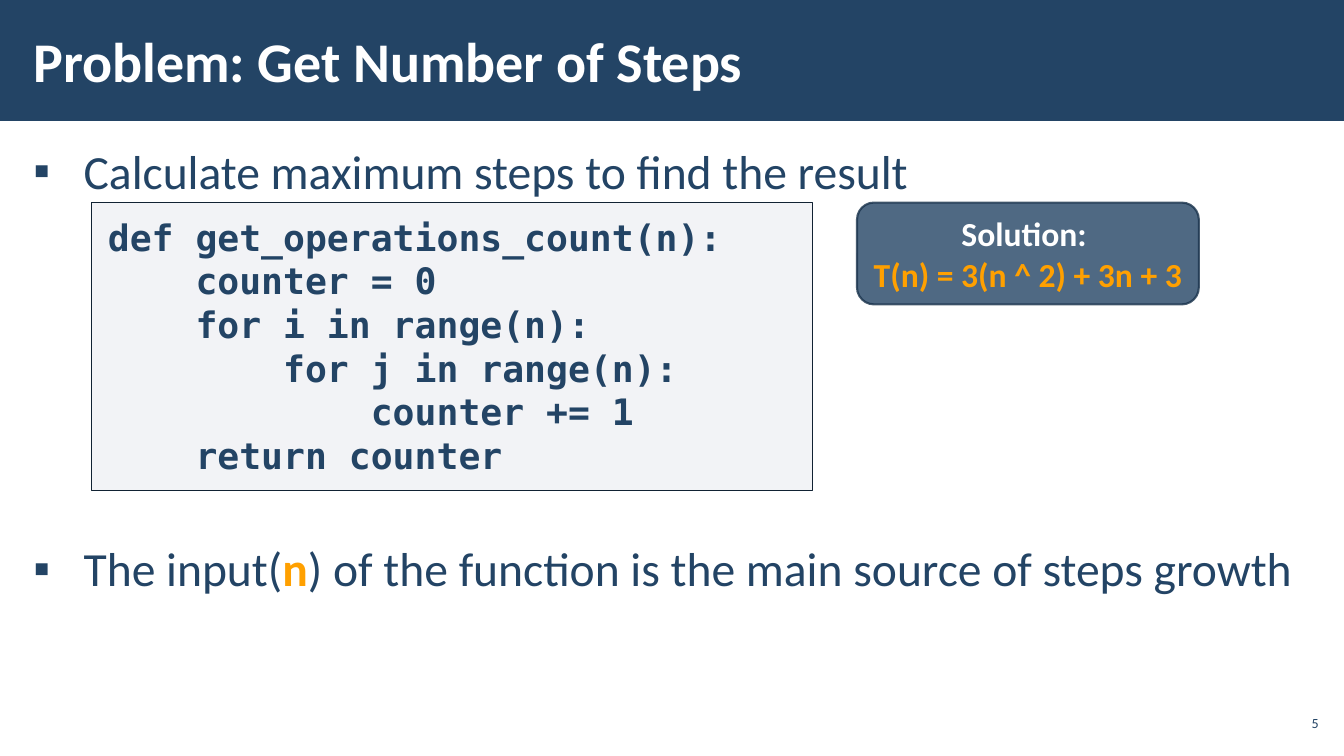
from dataclasses import dataclass

from lxml import etree
from pptx import Presentation
from pptx.dml.color import RGBColor
from pptx.enum.shapes import MSO_SHAPE
from pptx.enum.text import MSO_ANCHOR, MSO_AUTO_SIZE, PP_ALIGN
from pptx.oxml.ns import qn
from pptx.util import Inches, Pt

# Content
TITLE = "Problem: Get Number of Steps"
BULLETS = [
    [("Calculate maximum steps to find the result", False)],
    [("The input(", False), ("n", True),
     (") of the function is the main source of steps growth", False)],
]
CODE = [
    "def get_operations_count(n):",
    "    counter = 0",
    "    for i in range(n):",
    "        for j in range(n):",
    "            counter += 1",
    "    return counter",
]
SOLUTION = ["Solution: ", "T(n) = 3(n ^ 2) + 3n + 3"]
PAGE_NUMBER = "5"


@dataclass(frozen=True)
class Theme:
    navy: RGBColor = RGBColor(0x23, 0x44, 0x65)
    white: RGBColor = RGBColor(0xFF, 0xFF, 0xFF)
    accent: RGBColor = RGBColor(0xFF, 0xA0, 0x00)
    code_fill: RGBColor = RGBColor(0xAD, 0xB4, 0xC3)
    code_line: RGBColor = RGBColor(0x11, 0x22, 0x33)
    solution_line: RGBColor = RGBColor(0x1A, 0x33, 0x4C)
    text_font: str = "Calibri"
    code_font: str = "DejaVu Sans Mono"
    title_size: int = 40
    body_size: int = 34
    code_size: int = 26
    solution_size: int = 24
    number_size: int = 10


THEME = Theme()

# Layout: left, top, width, height in inches
SLIDE_SIZE = (13.33, 7.5)
BANNER = (0, 0, 13.33, 1.2)
TITLE_BOX = (0.21, 0.11, 10.4, 0.97)
BODY_BOX = (0.21, 1.31, 12.92, 5.69)
CODE_BOX = (0.91, 2.01, 7.15, 2.86)
SOLUTION_BOX = (8.5, 2.01, 3.39, 1.01)
NUMBER_BOX = (12.65, 7, 0.47, 0.34)
BULLET_INDENT = 0.5
CODE_GAP = 233  # points left between the bullets for the code


def place(shape, box):
    shape.left, shape.top, shape.width, shape.height = map(Inches, box)


def set_frame(frame, margin_x, margin_y, anchor):
    frame.word_wrap = True
    frame.auto_size = MSO_AUTO_SIZE.NONE
    frame.margin_left = frame.margin_right = Inches(margin_x)
    frame.margin_top = frame.margin_bottom = Inches(margin_y)
    frame.vertical_anchor = anchor


def style(paragraph, size, color, name=THEME.text_font, bold=False, align=PP_ALIGN.LEFT):
    paragraph.alignment = align
    font = paragraph.font
    font.size, font.name, font.bold = Pt(size), name, bold
    font.color.rgb = color


def add_paragraphs(frame, count):
    for _ in range(count - 1):
        frame.add_paragraph()
    return frame.paragraphs


def set_opacity(fill, percent):
    color = fill._xPr.find(qn("a:solidFill"))[0]
    etree.SubElement(color, qn("a:alpha")).set("val", str(percent * 1000))


def add_panel(slide, kind, box, fill, opacity=100, line=None, line_width=1, line_opacity=100):
    shape = slide.shapes.add_shape(kind, *map(Inches, box))
    shape.shadow.inherit = False
    shape.fill.solid()
    shape.fill.fore_color.rgb = fill
    set_opacity(shape.fill, opacity)
    if line is None:
        shape.line.fill.background()
    else:
        shape.line.color.rgb = line
        shape.line.width = Pt(line_width)
        set_opacity(shape.line.fill, line_opacity)
    return shape


def add_bullet(paragraph):
    properties = paragraph._p.get_or_add_pPr()
    properties.set("marL", str(Inches(BULLET_INDENT)))
    properties.set("indent", str(-Inches(BULLET_INDENT)))
    etree.SubElement(properties, qn("a:buChar")).set("char", "▪")


def build_header(slide):
    banner = add_panel(slide, MSO_SHAPE.RECTANGLE, BANNER, THEME.navy)
    slide.shapes._spTree.insert(2, banner._element)  # behind the title
    title = slide.shapes.title
    place(title, TITLE_BOX)
    title.text_frame.text = TITLE
    set_frame(title.text_frame, 0.12, 0.04, MSO_ANCHOR.MIDDLE)
    style(title.text_frame.paragraphs[0], THEME.title_size, THEME.white, bold=True)


def build_bullets(slide):
    body = slide.placeholders[1]
    place(body, BODY_BOX)
    set_frame(body.text_frame, 0.12, 0.04, MSO_ANCHOR.TOP)
    paragraphs = add_paragraphs(body.text_frame, len(BULLETS))
    for index, (paragraph, parts) in enumerate(zip(paragraphs, BULLETS)):
        add_bullet(paragraph)
        paragraph.line_spacing = 1.1
        paragraph.space_before = Pt(CODE_GAP if index else 0)
        paragraph.space_after = Pt(6)
        style(paragraph, THEME.body_size, THEME.navy)
        for text, highlighted in parts:
            run = paragraph.add_run()
            run.text = text
            if highlighted:
                run.font.bold = True
                run.font.color.rgb = THEME.accent


def build_code(slide):
    panel = add_panel(slide, MSO_SHAPE.RECTANGLE, CODE_BOX, THEME.code_fill, 15,
                      THEME.code_line)
    set_frame(panel.text_frame, 0.16, 0.12, MSO_ANCHOR.TOP)
    for paragraph, text in zip(add_paragraphs(panel.text_frame, len(CODE)), CODE):
        paragraph.text = text
        style(paragraph, THEME.code_size, THEME.navy, THEME.code_font, bold=True)


def build_solution(slide):
    panel = add_panel(slide, MSO_SHAPE.ROUNDED_RECTANGLE, SOLUTION_BOX, THEME.navy, 80,
                      THEME.solution_line, 1.5, 80)
    set_frame(panel.text_frame, 0.1, 0.05, MSO_ANCHOR.MIDDLE)
    paragraphs = add_paragraphs(panel.text_frame, len(SOLUTION))
    for paragraph, text, color in zip(paragraphs, SOLUTION, (THEME.white, THEME.accent)):
        paragraph.text = text
        style(paragraph, THEME.solution_size, color, bold=True, align=PP_ALIGN.CENTER)


def build_page_number(slide):
    frame = slide.shapes.add_textbox(*map(Inches, NUMBER_BOX)).text_frame
    frame.text = PAGE_NUMBER
    set_frame(frame, 0.04, 0.04, MSO_ANCHOR.MIDDLE)
    style(frame.paragraphs[0], THEME.number_size, THEME.navy, align=PP_ALIGN.RIGHT)


def main():
    presentation = Presentation()
    presentation.slide_width, presentation.slide_height = map(Inches, SLIDE_SIZE)
    slide = presentation.slides.add_slide(presentation.slide_layouts[1])
    build_header(slide)
    build_bullets(slide)
    build_code(slide)
    build_solution(slide)
    build_page_number(slide)
    presentation.save("out.pptx")


if __name__ == "__main__":
    main()
